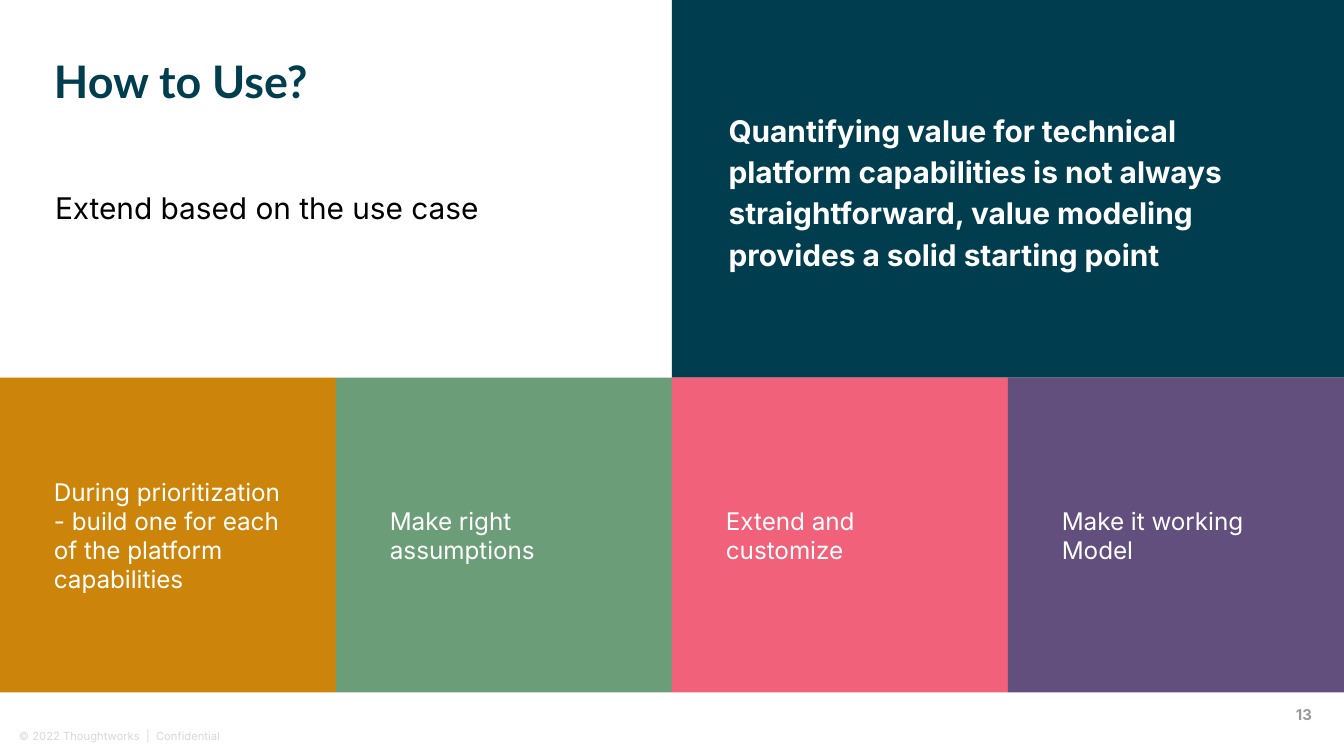
from lxml import etree
from pptx import Presentation
from pptx.dml.color import RGBColor
from pptx.enum.shapes import MSO_SHAPE
from pptx.enum.text import MSO_ANCHOR, MSO_AUTO_SIZE, PP_ALIGN
from pptx.oxml.ns import qn
from pptx.util import Cm, Pt

RECTANGLE = MSO_SHAPE.RECTANGLE
TOP, MIDDLE, BOTTOM = MSO_ANCHOR.TOP, MSO_ANCHOR.MIDDLE, MSO_ANCHOR.BOTTOM
LEFT, CENTER = PP_ALIGN.LEFT, PP_ALIGN.CENTER
NO_AUTOFIT = MSO_AUTO_SIZE.NONE

TEAL = RGBColor(0x00, 0x3D, 0x4F)
OCHRE = RGBColor(0xCC, 0x85, 0x0A)
GREEN = RGBColor(0x6B, 0x9E, 0x78)
PINK = RGBColor(0xF2, 0x61, 0x7A)
PURPLE = RGBColor(0x63, 0x4F, 0x7D)
WHITE = RGBColor(0xFF, 0xFF, 0xFF)
BLACK = RGBColor(0x00, 0x00, 0x00)
GREY = RGBColor(0x99, 0x99, 0x99)
PALE_GREY = RGBColor(0xD9, 0xD9, 0xD9)

PAGE_WIDTH, PAGE_HEIGHT = 25.4, 14.29
BAND_TOP, BAND_HEIGHT = 7.14, 5.95
NO_INSETS = (0, 0)
TILE_INSETS = (1.02, 0.25)

TITLE_FONT = {"name": "Lato", "size": Pt(24), "bold": True}
LEAD_FONT = {"name": "Inter", "size": Pt(16), "bold": False}
QUOTE_FONT = {"name": "Inter", "size": Pt(16), "bold": True}
TILE_FONT = {"name": "Inter", "size": Pt(13)}
NUMBER_FONT = {"name": "Inter", "size": Pt(8), "bold": True}
FOOTER_FONT = {"name": "Inter", "size": Pt(6)}

LEAD_SPACING = {"line_spacing": 1.15, "space_after": Pt(12)}

TILES = [
    ("During prioritization - build one for each of the platform capabilities", OCHRE),
    ("Make right assumptions", GREEN),
    ("Extend and customize", PINK),
    ("Make it working Model", PURPLE),
]


def set_all(target, values):
    for name, value in values.items():
        setattr(target, name, value)


def place(box, left, top, width, height):
    set_all(box, {"left": Cm(left), "top": Cm(top),
                  "width": Cm(width), "height": Cm(height)})


def write(box, text, font, color, anchor=TOP, align=LEFT, insets=NO_INSETS, spacing=None):
    """Put one formatted paragraph into a shape, text box or placeholder."""
    side, end = Cm(insets[0]), Cm(insets[1])
    frame = box.text_frame
    set_all(frame, {"word_wrap": True, "auto_size": NO_AUTOFIT, "vertical_anchor": anchor,
                    "margin_left": side, "margin_right": side,
                    "margin_top": end, "margin_bottom": end})
    para = frame.paragraphs[0]
    set_all(para, {"alignment": align, "space_before": Pt(0), **(spacing or {})})
    span = para.add_run()
    span.text = text
    set_all(span.font, font)
    span.font.color.rgb = color
    return para


def write_lead(box, text, font, color, anchor=TOP):
    """Fill a body placeholder with one paragraph without a bullet."""
    para = write(box, text, font, color, anchor, spacing=LEAD_SPACING)
    properties = para._p.get_or_add_pPr()
    properties.set("marL", "0")
    properties.set("indent", "0")
    etree.SubElement(properties, qn("a:buNone"))


def add_panel(page, left, top, width, height, color):
    panel = page.shapes.add_shape(RECTANGLE, Cm(left), Cm(top), Cm(width), Cm(height))
    panel.shadow.inherit = False
    panel.fill.solid()
    panel.fill.fore_color.rgb = color
    panel.line.fill.background()
    return panel


def add_label(page, area, text, font, color, anchor, align=LEFT):
    box = page.shapes.add_textbox(*(Cm(length) for length in area))
    write(box, text, font, color, anchor, align)


def send_to_back(page, shape):
    page.shapes._spTree.insert(2, shape._element)


def main():
    deck = Presentation()
    deck.slide_width, deck.slide_height = Cm(PAGE_WIDTH), Cm(PAGE_HEIGHT)
    page = deck.slides.add_slide(deck.slide_layouts.get_by_name("Two Content"))
    title, lead, quote = page.placeholders

    # Title and lead on the white side
    place(title, 1.02, 1.02, 10.67, 1.12)
    write(title, "How to Use?", TITLE_FONT, TEAL)
    place(lead, 1.04, 3.48, 10.64, 1.19)
    write_lead(lead, "Extend based on the use case", LEAD_FONT, BLACK)

    # Statement on the dark panel
    half = PAGE_WIDTH / 2
    send_to_back(page, add_panel(page, half, 0, half, BAND_TOP, TEAL))
    place(quote, 13.77, 1.02, 10.62, 5.13)
    write_lead(quote, "Quantifying value for technical platform capabilities is not always "
               "straightforward, value modeling provides a solid starting point",
               QUOTE_FONT, WHITE, MIDDLE)

    # Band of equal coloured tiles
    tile_width = PAGE_WIDTH / len(TILES)
    for index, (text, color) in enumerate(TILES):
        tile = add_panel(page, index * tile_width, BAND_TOP, tile_width, BAND_HEIGHT, color)
        write(tile, text, TILE_FONT, WHITE, MIDDLE, insets=TILE_INSETS)

    # Footer and page number
    add_label(page, (0.36, 13.56, 10.95, 0.48), "© 2022 Thoughtworks  |  Confidential",
              FOOTER_FONT, PALE_GREY, BOTTOM)
    add_label(page, (24.38, 13.26, 0.53, 0.51), "13", NUMBER_FONT, GREY, MIDDLE, CENTER)

    deck.save("out.pptx")


if __name__ == "__main__":
    main()
